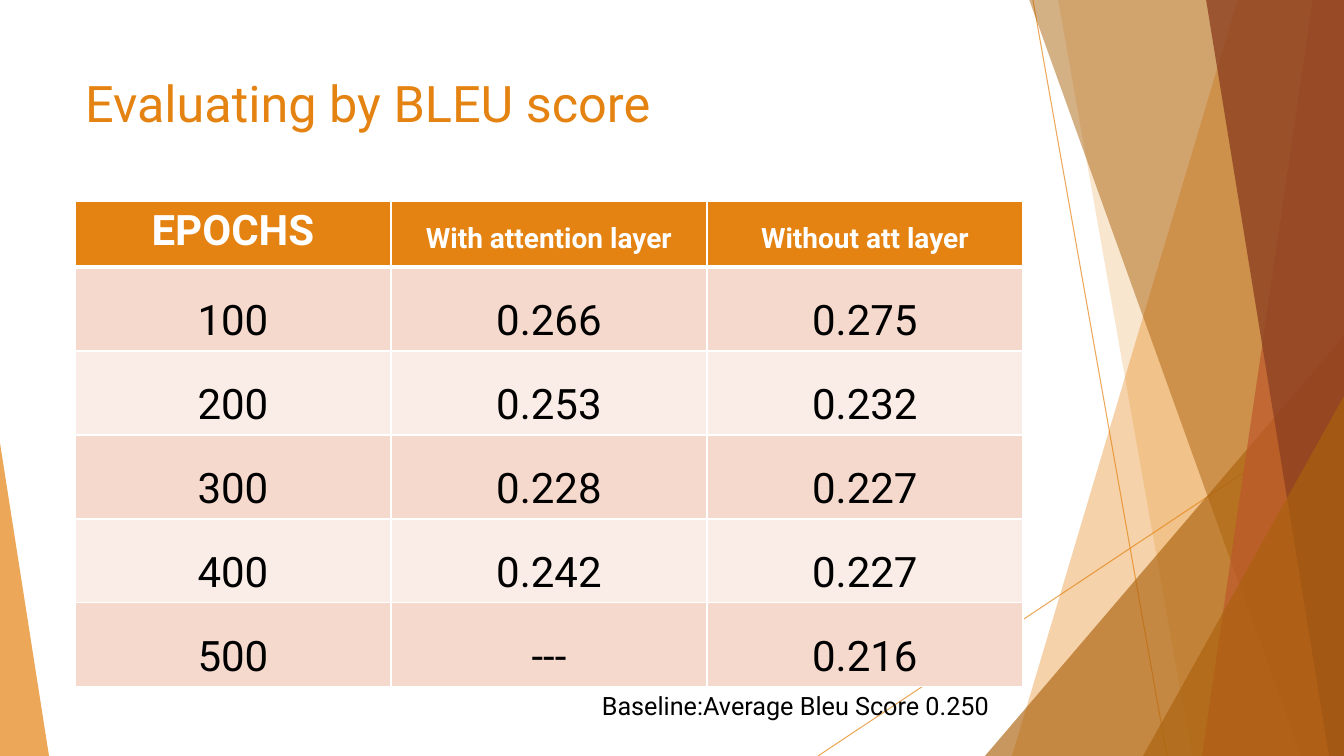
from lxml import etree
from pptx import Presentation
from pptx.dml.color import RGBColor
from pptx.enum.shapes import MSO_CONNECTOR, MSO_SHAPE
from pptx.enum.text import MSO_ANCHOR, MSO_AUTO_SIZE, PP_ALIGN
from pptx.oxml.ns import qn
from pptx.util import Pt

STRAIGHT = MSO_CONNECTOR.STRAIGHT
TRIANGLE = MSO_SHAPE.ISOSCELES_TRIANGLE
TOP = MSO_ANCHOR.TOP
NO_FIT = MSO_AUTO_SIZE.NONE
LEFT, CENTER = PP_ALIGN.LEFT, PP_ALIGN.CENTER

SCALE = 914400 / 100.8
WIDTH, HEIGHT = 1344, 756
FONT = "Roboto"
ORANGE, BROWN, WHITE, BLACK = "E48312", "AB620D", "FFFFFF", "000000"
ROW_FILLS = ["F5D9CC", "FAEDE7"]

TITLE = "Evaluating by BLEU score"
BASELINE = "Baseline:Average Bleu Score 0.250"
SCORES = [
    ["EPOCHS", "With attention layer", "Without att layer"],
    ["100", "0.266", "0.275"],
    ["200", "0.253", "0.232"],
    ["300", "0.228", "0.227"],
    ["400", "0.242", "0.227"],
    ["500", "---", "0.216"],
]
TITLE_BOX = (75, 67, 947, 146)
TABLE_LEFT, TABLE_TOP, COL_WIDTH = 75, 201, 316
HEADER_HEIGHT, ROW_HEIGHT = 66, 84
BASELINE_BOX = (592, 685, 412, 40)

RAYS = [(1033, 0, 1167, 756), (1344, 406, 818, 756)]
FACETS = [
    ("band", (1238, 1012), ORANGE, 36),
    ("band", (1058, 1192), ORANGE, 20),
    ("triangle", (985, 336, 359, 420, 1), BROWN, 66),
    ("band", (1029, 1301), BROWN, 50),
    ("band", (1313, 1202), "BD582C", 70),
    ("band", (1206, 1329), "8E4221", 80),
    ("triangle", (1143, 396, 201, 360, 1), BROWN, 66),
    ("triangle", (0, 443, 49, 313, 0), ORANGE, 70),
]


def px(*values):
    return [round(v * SCALE) for v in values]


def rgb(value):
    return RGBColor.from_string(value)


def set_alpha(sp, percent):
    color = next(sp._element.spPr.iter(qn("a:srgbClr")))
    etree.SubElement(color, qn("a:alpha"), val=str(percent * 1000))


def style_text(p, size, color, align, bold=False):
    p.alignment = align
    for r in p.runs:
        r.font.name = FONT
        r.font.size = Pt(size)
        r.font.bold = bold
        r.font.color.rgb = rgb(color)


def add_ray(slide, ends):
    line = slide.shapes.add_connector(STRAIGHT, *px(*ends))
    line.line.color.rgb = rgb(ORANGE)
    line.line.width = Pt(0.75)
    set_alpha(line, 70)
    etree.SubElement(line._element.spPr, qn("a:effectLst"))


def add_facet(slide, kind, geometry, color, alpha):
    if kind == "band":
        top_x, bottom_x = geometry
        builder = slide.shapes.build_freeform(top_x, -1, SCALE)
        builder.add_line_segments([(WIDTH, -1), (WIDTH, HEIGHT), (bottom_x, HEIGHT)])
        sp = builder.convert_to_shape()
    else:
        *box, apex = geometry
        sp = slide.shapes.add_shape(TRIANGLE, *px(*box))
        sp.adjustments[0] = apex
    sp.fill.solid()
    sp.fill.fore_color.rgb = rgb(color)
    sp.line.fill.background()
    sp.shadow.inherit = False
    set_alpha(sp, alpha)


def add_borders(cell, is_header):
    tcPr = cell._tc.get_or_add_tcPr()
    for side in "LRTB":
        width = 3 if is_header and side == "B" else 1
        ln = etree.SubElement(tcPr, qn("a:ln" + side), w=str(Pt(width)))
        fill = etree.SubElement(ln, qn("a:solidFill"))
        etree.SubElement(fill, qn("a:srgbClr"), val=WHITE)


def add_scores(slide):
    rows, cols = len(SCORES), len(SCORES[0])
    height = HEADER_HEIGHT + ROW_HEIGHT * (rows - 1)
    box = px(TABLE_LEFT, TABLE_TOP, COL_WIDTH * cols, height)
    table = slide.shapes.add_table(rows, cols, *box).table
    for col in table.columns:
        col.width = px(COL_WIDTH)[0]
    for i, values in enumerate(SCORES):
        is_header = i == 0
        table.rows[i].height = px(HEADER_HEIGHT if is_header else ROW_HEIGHT)[0]
        for j, value in enumerate(values):
            cell = table.cell(i, j)
            add_borders(cell, is_header)
            cell.fill.solid()
            cell.fill.fore_color.rgb = rgb(ORANGE if is_header else ROW_FILLS[(i - 1) % 2])
            cell.text = value
            p = cell.text_frame.paragraphs[0]
            if not is_header or j:
                p.line_spacing = 1.5
            size = 20 if is_header and j else 30
            style_text(p, size, WHITE if is_header else BLACK, CENTER, is_header)


def main():
    prs = Presentation()
    prs.slide_width, prs.slide_height = px(WIDTH, HEIGHT)
    slide = prs.slides.add_slide(prs.slide_layouts[5])

    for ends in RAYS:
        add_ray(slide, ends)
    for facet in FACETS:
        add_facet(slide, *facet)

    title = slide.shapes.title
    title.left, title.top, title.width, title.height = px(*TITLE_BOX)
    tf = title.text_frame
    tf.text = TITLE
    tf.vertical_anchor = TOP
    tf.auto_size = NO_FIT
    style_text(tf.paragraphs[0], 36, ORANGE, LEFT)

    add_scores(slide)

    tf = slide.shapes.add_textbox(*px(*BASELINE_BOX)).text_frame
    tf.word_wrap = False
    tf.text = BASELINE
    style_text(tf.paragraphs[0], 18, BLACK, LEFT)

    prs.save("out.pptx")


if __name__ == "__main__":
    main()
